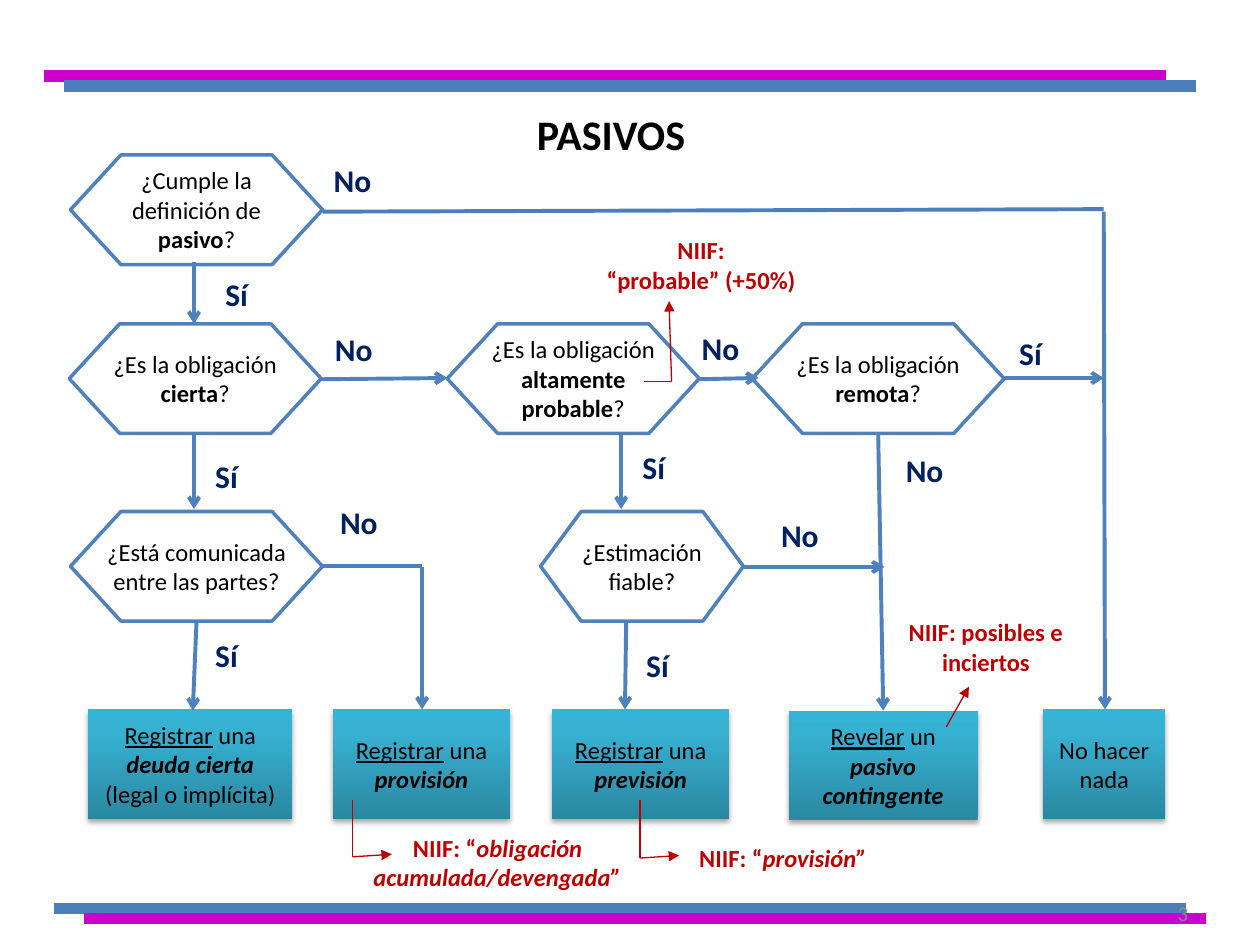
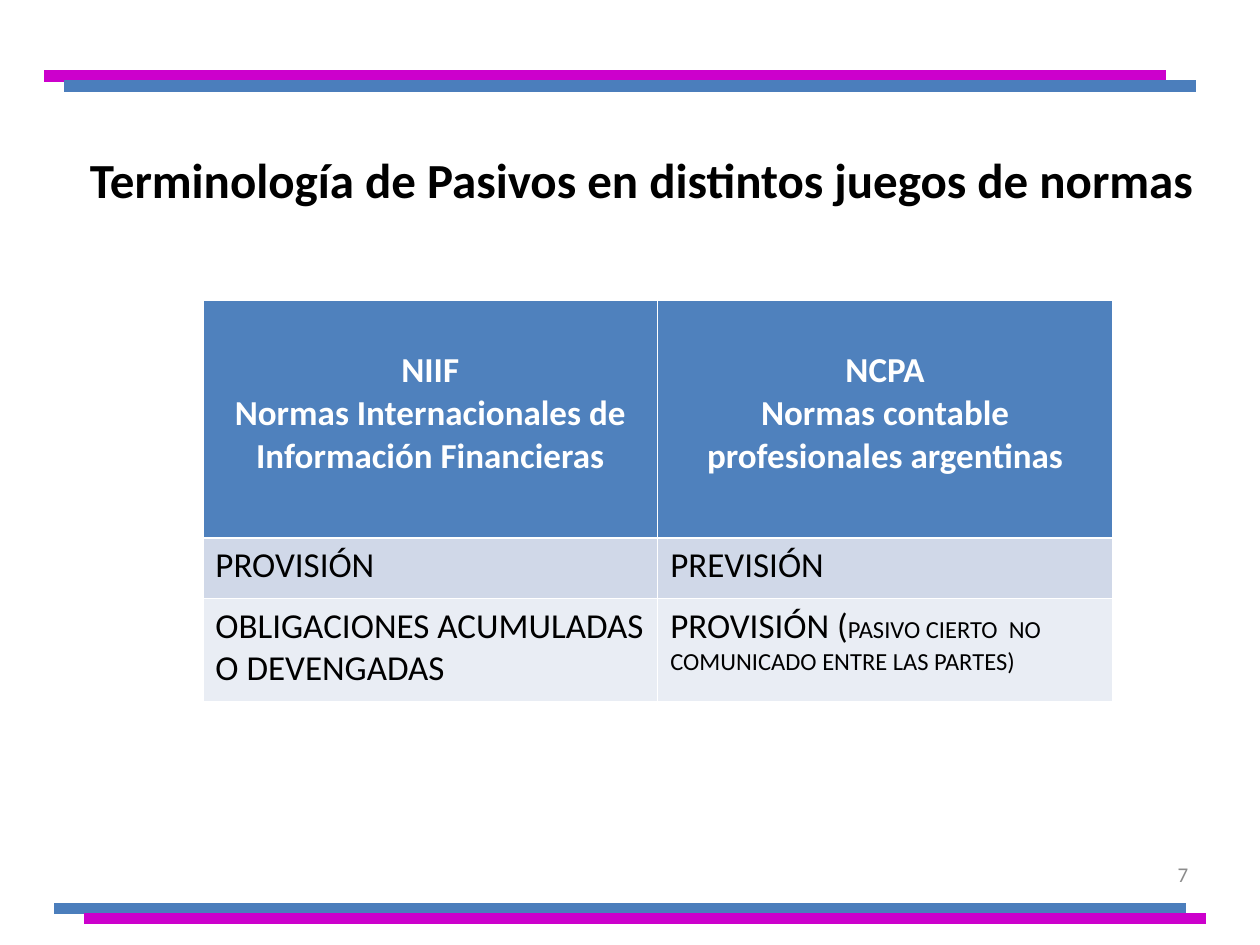
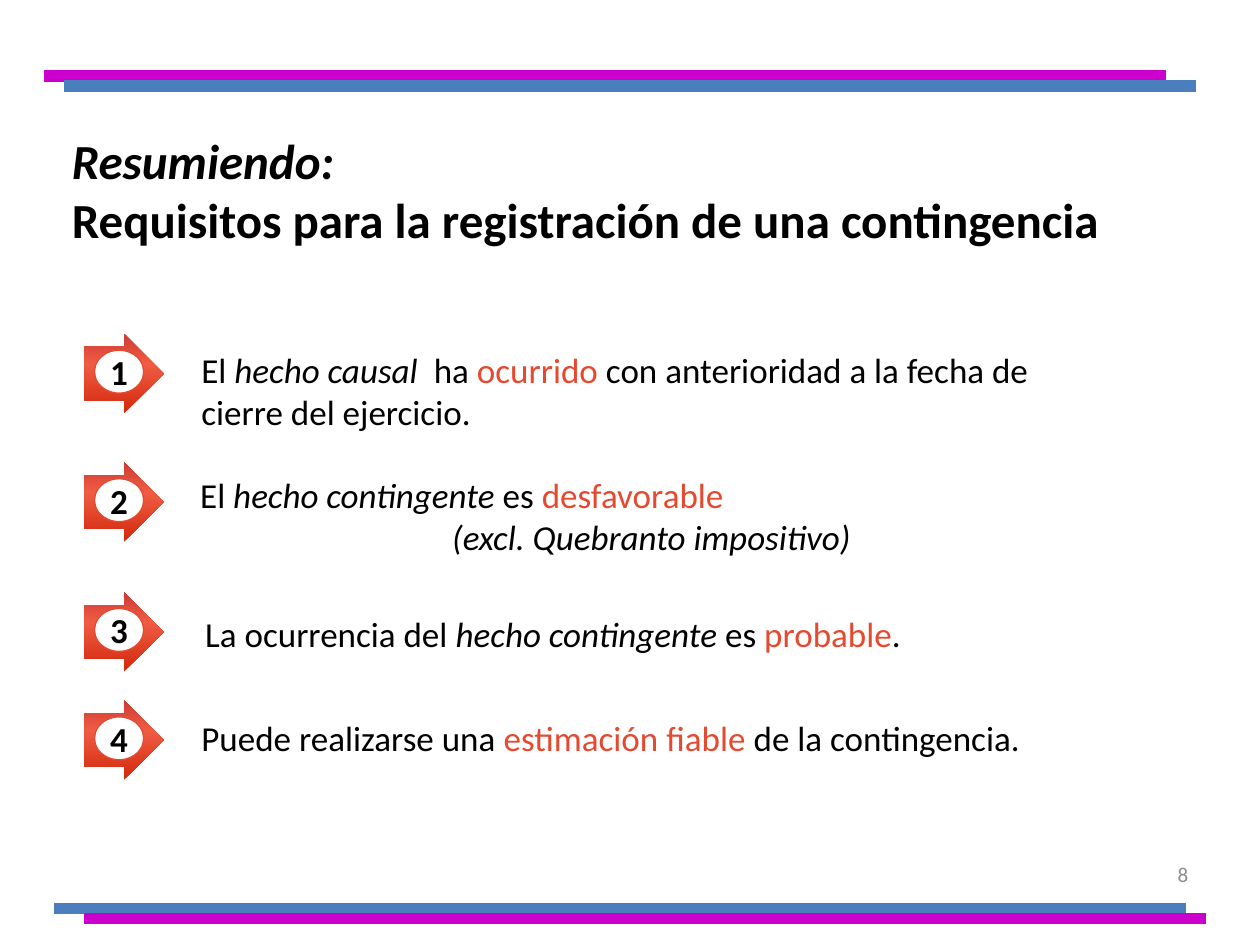
from dataclasses import dataclass

from lxml import etree
from pptx import Presentation
from pptx.dml.color import RGBColor
from pptx.enum.shapes import MSO_CONNECTOR, MSO_SHAPE
from pptx.enum.text import MSO_ANCHOR, MSO_AUTO_SIZE, PP_ALIGN
from pptx.oxml.ns import qn
from pptx.util import Inches, Pt

LEFT, CENTER, RIGHT = PP_ALIGN.LEFT, PP_ALIGN.CENTER, PP_ALIGN.RIGHT
TOP, MIDDLE = MSO_ANCHOR.TOP, MSO_ANCHOR.MIDDLE
NO_AUTOFIT = MSO_AUTO_SIZE.NONE
STRAIGHT = MSO_CONNECTOR.STRAIGHT
RECTANGLE, HEXAGON = MSO_SHAPE.RECTANGLE, MSO_SHAPE.FLOWCHART_PREPARATION
ARROW, OVAL = MSO_SHAPE.RIGHT_ARROW, MSO_SHAPE.OVAL
TITLE_ONLY = 5


@dataclass(frozen=True)
class Theme:
    font: str = "Calibri"
    black: str = "000000"
    white: str = "FFFFFF"
    gray: str = "8C8C8C"
    navy: str = "002060"
    note: str = "C00000"
    accent: str = "E5492F"
    blue: str = "4F81BD"
    band_blue: str = "4B7EBC"
    band_magenta: str = "CC00CC"
    table_rows: tuple = ("D0D8E8", "E9EDF4")
    teal_stops: tuple = ((0, "2A88A2"), (80, "37B1D2"), (100, "34B4D6"))
    red_stops: tuple = ((0, "D3280B"), (62, "EF5C43"), (100, "CE3B37"))
    heading: int = 28
    chart_heading: int = 24
    body: int = 20
    answer: int = 18
    small: int = 14
    number: int = 12


@dataclass(frozen=True)
class Span:
    text: str
    bold: bool | None = None
    italic: bool | None = None
    underline: bool | None = None
    color: str | None = None
    size: int | None = None


THEME = Theme()
BANDS = [
    (0.43, 9.41, 7.21, THEME.band_blue),
    (0.67, 9.57, 7.29, THEME.band_magenta),
    (0.35, 9.25, 0.6, THEME.band_magenta),
    (0.51, 9.49, 0.68, THEME.band_blue),
]


def bold(text):
    return Span(text, bold=True)


def italic(text):
    return Span(text, italic=True)


def strong(text):
    return Span(text, bold=True, italic=True)


def underlined(text):
    return Span(text, underline=True)


def accent(text):
    return Span(text, color=THEME.accent)


class Builder:
    def __init__(self, theme):
        self.theme = theme
        self.deck = Presentation()
        self.deck.slide_width = Inches(10)
        self.deck.slide_height = Inches(7.5)
        self.page = None

    def start(self, number, number_top=6.74):
        self.page = self.deck.slides.add_slide(self.deck.slide_layouts[TITLE_ONLY])
        for left, right, y, color in BANDS:
            self.line((left, y, right, y), color, 6.75)
        self.text((7.2, number_top, 2.33, 0.4), [number], self.theme.number,
                  self.theme.gray, align=RIGHT, anchor=MIDDLE)

    def title(self, at, paragraphs, size, align=CENTER):
        box = self.page.shapes.title
        box.left, box.top, box.width, box.height = map(Inches, at)
        self.set_text(box.text_frame, paragraphs, size, weight=True, align=align,
                      anchor=MIDDLE)

    def text(self, at, paragraphs, size, color=None, **style):
        box = self.page.shapes.add_textbox(*map(Inches, at))
        self.set_text(box.text_frame, paragraphs, size, color, **style)
        return box

    def set_text(self, frame, paragraphs, size, color=None, weight=False,
                 align=LEFT, anchor=TOP):
        frame.word_wrap = True
        frame.auto_size = NO_AUTOFIT
        frame.vertical_anchor = anchor
        self.fill_paragraphs(frame, paragraphs, size, color, weight, align)

    def fill_paragraphs(self, frame, paragraphs, size, color=None, weight=False, align=LEFT):
        for index, content in enumerate(paragraphs):
            para = frame.add_paragraph() if index else frame.paragraphs[0]
            para.alignment = align
            para.font.name = self.theme.font
            para.font.size = Pt(size)
            para.font.bold = weight
            for part in [content] if isinstance(content, (str, Span)) else content:
                span = part if isinstance(part, Span) else Span(part)
                run = para.add_run()
                run.text = span.text
                run.font.bold = span.bold
                run.font.italic = span.italic
                run.font.underline = span.underline
                run.font.color.rgb = RGBColor.from_string(
                    span.color or color or self.theme.black)
                if span.size:
                    run.font.size = Pt(span.size)

    def line(self, ends, color, width, head=None):
        connector = self.page.shapes.add_connector(STRAIGHT, *map(Inches, ends))
        connector.line.color.rgb = RGBColor.from_string(color)
        connector.line.width = Pt(width)
        properties = connector._element.spPr
        if head:
            etree.SubElement(properties.find(qn("a:ln")), qn("a:tailEnd"), type=head)
        etree.SubElement(properties, qn("a:effectLst"))

    def shape(self, kind, at, fill=None, line=None, width=1):
        shape = self.page.shapes.add_shape(kind, *map(Inches, at))
        shape.shadow.inherit = False
        if fill:
            shape.fill.solid()
            shape.fill.fore_color.rgb = RGBColor.from_string(fill)
        else:
            shape.fill.background()
        if line:
            shape.line.color.rgb = RGBColor.from_string(line)
            shape.line.width = Pt(width)
        else:
            shape.line.fill.background()
        return shape

    def gradient(self, shape, stops):
        shape.fill.gradient()
        shape.fill.gradient_angle = 90
        stop_list = shape._element.spPr.find(qn("a:gradFill")).find(qn("a:gsLst"))
        for old in list(stop_list):
            stop_list.remove(old)
        for position, color in stops:
            stop = etree.SubElement(stop_list, qn("a:gs"), pos=str(position * 1000))
            etree.SubElement(stop, qn("a:srgbClr"), val=color)

    def drop_shadow(self, shape):
        effects = shape._element.spPr.find(qn("a:effectLst"))
        shadow = etree.SubElement(effects, qn("a:outerShdw"), blurRad=str(Pt(3.1)),
                                  dist=str(Pt(1.8)), dir="5400000", rotWithShape="0")
        color = etree.SubElement(shadow, qn("a:srgbClr"), val=self.theme.black)
        etree.SubElement(color, qn("a:alpha"), val="35000")

    def decision(self, left, top, width, text_width, line_count, content):
        height = 0.87
        text_height = 0.1 + 0.235 * line_count
        self.text((left + (width - text_width) / 2, top + (height - text_height) / 2,
                   text_width, text_height), [content], self.theme.small, align=CENTER)
        self.shape(HEXAGON, (left, top, width, height), line=self.theme.blue, width=2)

    def outcome(self, left, top, width, paragraphs):
        box = self.shape(RECTANGLE, (left, top, width, 0.87))
        self.gradient(box, self.theme.teal_stops)
        self.drop_shadow(box)
        self.set_text(box.text_frame, paragraphs, self.theme.small, align=CENTER,
                      anchor=MIDDLE)

    def numbered_arrow(self, top, number):
        arrow = self.shape(ARROW, (0.67, top, 0.63, 0.63))
        arrow.adjustments[0], arrow.adjustments[1] = 0.675, 0.5
        self.gradient(arrow, self.theme.red_stops)
        badge = self.shape(OVAL, (0.75, top + 0.13, 0.39, 0.34), self.theme.white,
                           self.theme.accent, 0.75)
        badge.text_frame.margin_left = badge.text_frame.margin_right = 0
        self.set_text(badge.text_frame, [str(number)], self.theme.body, weight=True,
                      align=CENTER, anchor=MIDDLE)

    def table(self, at, row_heights, rows):
        table = self.page.shapes.add_table(len(rows), len(rows[0]), *map(Inches, at)).table
        for row_index, (height, row) in enumerate(zip(row_heights, rows)):
            table.rows[row_index].height = Inches(height)
            header = row_index == 0
            fill = self.theme.blue if header else self.theme.table_rows[row_index - 1]
            for column, paragraphs in enumerate(row):
                cell = table.cell(row_index, column)
                cell.fill.solid()
                cell.fill.fore_color.rgb = RGBColor.from_string(fill)
                if header:
                    cell.margin_top = Inches(0.39)
                self.fill_paragraphs(
                    cell.text_frame, paragraphs, self.theme.body,
                    self.theme.white if header else self.theme.black,
                    header, CENTER if header else LEFT)


def liabilities_flow(builder):
    theme = builder.theme
    builder.start("3", 7.05)
    builder.title((0.35, 0.58, 9, 0.96), ["PASIVOS"], theme.chart_heading)

    outcomes = [
        (0.7, 5.63, 1.62, [(underlined("Registrar"), " una ", strong("deuda cierta")),
                           "(legal o implícita)"]),
        (2.64, 5.63, 1.41, [(underlined("Registrar"), " una"), strong("provisión")]),
        (4.38, 5.63, 1.41, [(underlined("Registrar"), " una"), strong("previsión")]),
        (6.26, 5.64, 1.5, [(underlined("Revelar"), " un"), strong("pasivo contingente")]),
        (8.28, 5.63, 0.97, ["No hacer nada"]),
    ]
    for outcome in outcomes:
        builder.outcome(*outcome)

    decisions = [
        (0.56, 1.23, 2, 1.81, 3, ("¿Cumple la definición de ", bold("pasivo"), "?")),
        (0.55, 2.57, 2, 1.64, 2, ("¿Es la obligación ", bold("cierta"), "?")),
        (3.55, 2.57, 2, 1.76, 3, ("¿Es la obligación ", bold("altamente probable"), "?")),
        (5.97, 2.57, 2, 1.64, 2, ("¿Es la obligación ", bold("remota"), "?")),
        (0.56, 4.06, 2, 1.75, 2, "¿Está comunicada entre las partes?"),
        (4.29, 4.06, 1.61, 1.31, 2, "¿Estimación fiable?"),
    ]
    for decision in decisions:
        builder.decision(*decision)

    flow_arrows = [
        (1.54, 2.08, 1.54, 2.57), (1.54, 3.44, 1.54, 4.04), (1.56, 4.93, 1.53, 5.64),
        (2.55, 3.01, 3.55, 3), (5.54, 3.01, 6.02, 3), (7.96, 3, 8.76, 3),
        (4.93, 3.45, 4.93, 4.04), (4.97, 4.93, 4.96, 5.63), (5.9, 4.5, 7.02, 4.5),
        (6.97, 3.44, 7.01, 5.64), (3.35, 4.5, 3.35, 5.63), (8.76, 1.68, 8.77, 5.63),
    ]
    for ends in flow_arrows:
        builder.line(ends, theme.blue, 2.25, "arrow")
    for ends in [(8.76, 1.66, 2.56, 1.68), (3.35, 4.49, 2.55, 4.49)]:
        builder.line(ends, theme.band_blue, 2.25)

    answers = {
        "Sí": [(1.69, 2.13), (1.61, 3.58), (1.61, 5), (5, 3.51), (5.03, 5.08), (7.99, 2.6)],
        "No": [(2.55, 1.23), (2.56, 2.57), (2.6, 3.94), (5.47, 2.56), (6.1, 4.05),
               (7.09, 3.53)],
    }
    for answer, places in answers.items():
        for left, top in places:
            builder.text((left, top, 0.71, 0.4), [answer], theme.answer, theme.navy,
                         weight=True)

    notes = [
        ((4.65, 1.82, 1.83, 0.57), ["NIIF:", "“probable” (+50%)"]),
        ((7, 4.85, 1.65, 0.57), ["NIIF: posibles e inciertos"]),
        ((2.8, 6.56, 2.3, 0.57), [("NIIF: “", italic("obligación acumulada/devengada”"))]),
        ((5.39, 6.64, 1.65, 0.34), [("NIIF: “", italic("provisión”"))]),
    ]
    for at, paragraphs in notes:
        builder.text(at, paragraphs, theme.small, theme.note, weight=True, align=CENTER)
    for ends in [(5.33, 3.03, 5.31, 2.39), (7.51, 5.77, 7.69, 5.45),
                 (2.8, 6.8, 3.11, 6.78), (5.08, 6.81, 5.39, 6.79)]:
        builder.line(ends, theme.note, 0.75, "triangle")
    for ends in [(5.33, 3.03, 5.11, 3.03), (2.8, 6.8, 2.8, 6.35), (5.08, 6.81, 5.08, 6.35)]:
        builder.line(ends, theme.note, 0.75)


def terminology(builder):
    builder.start("7")
    builder.title((0.59, 1.07, 9, 0.7),
                  ["Terminología de Pasivos en distintos juegos de normas"],
                  builder.theme.heading)
    detail = Span("PASIVO CIERTO  NO COMUNICADO ENTRE LAS PARTES)", size=builder.theme.small)
    builder.table((1.61, 2.38, 7.22, 3.19), (1.89, 0.48, 0.82), [
        (["NIIF", "Normas Internacionales de Información Financieras"],
         ["NCPA", "Normas contable profesionales argentinas"]),
        (["PROVISIÓN"], ["PREVISIÓN"]),
        (["OBLIGACIONES ACUMULADAS O DEVENGADAS"], [("PROVISIÓN (", detail)]),
    ])


def requirements(builder):
    builder.start("8")
    builder.title((0.47, 1.15, 9.29, 0.7),
                  [italic("Resumiendo:"),
                   "Requisitos para la registración de una contingencia"],
                  builder.theme.heading, LEFT)
    items = [
        (2.65, (1.5, 2.72, 6.96, 0.77),
         [("El ", italic("hecho causal  "), "ha ", accent("ocurrido "),
           "con anterioridad a la fecha de cierre del ejercicio.")]),
        (3.67, (1.49, 3.71, 6.89, 0.77),
         [("El ", italic("hecho contingente "), "es ", accent("desfavorable")),
          italic("(excl. Quebranto impositivo)")]),
        (4.7, (1.53, 4.81, 5.89, 0.44),
         [("La ocurrencia del ", italic("hecho contingente "), "es ", accent("probable"),
           ".")]),
        (5.56, (1.5, 5.64, 6.91, 0.44),
         [("Puede realizarse una ", accent("estimación fiable "), "de la contingencia.")]),
    ]
    for number, (arrow_top, at, paragraphs) in enumerate(items, 1):
        builder.numbered_arrow(arrow_top, number)
        box = builder.text(at, paragraphs, builder.theme.body)
        for para in box.text_frame.paragraphs[1:]:
            para._p.get_or_add_pPr().set("marL", str(Inches(2)))


def main():
    builder = Builder(THEME)
    liabilities_flow(builder)
    terminology(builder)
    requirements(builder)
    builder.deck.save("out.pptx")


if __name__ == "__main__":
    main()
